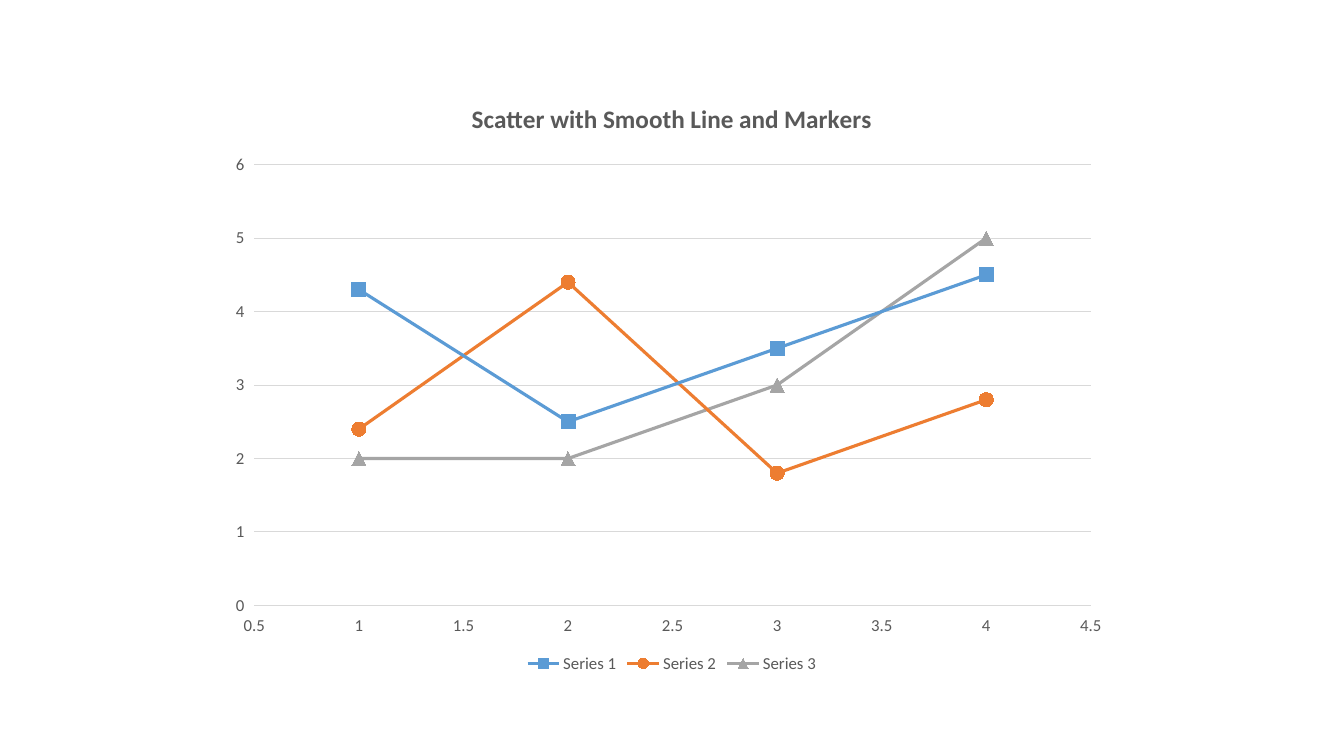
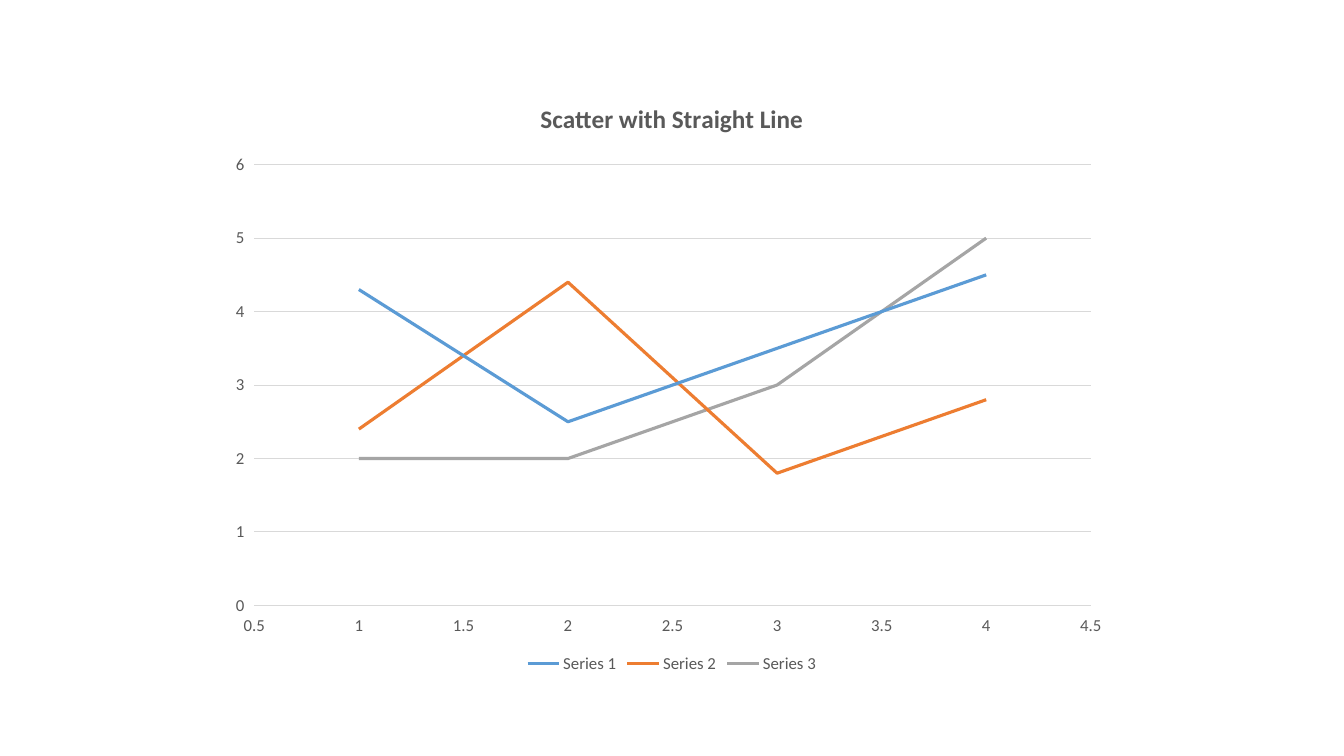
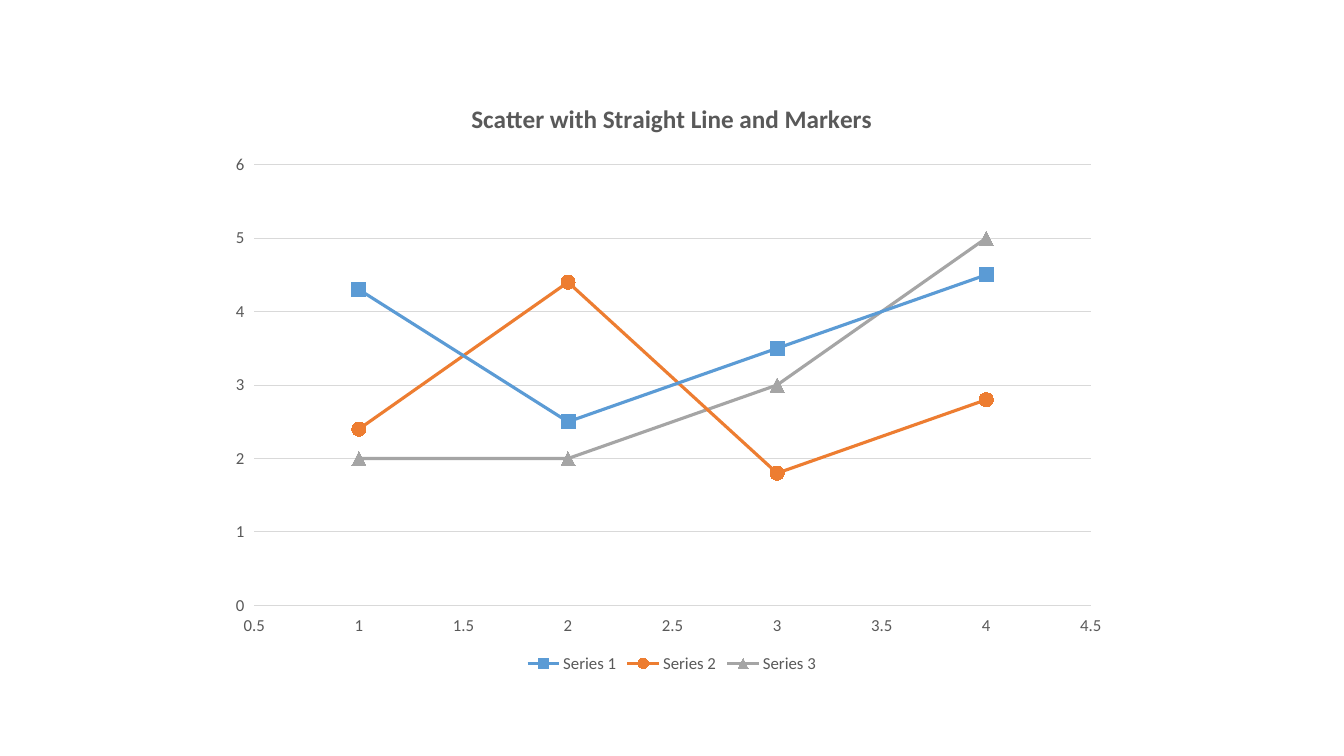
from dataclasses import dataclass

from pptx import Presentation
from pptx.chart.axis import ValueAxis
from pptx.chart.chart import Chart
from pptx.chart.data import XyChartData
from pptx.dml.color import RGBColor
from pptx.enum.chart import (
    XL_CHART_TYPE,
    XL_LEGEND_POSITION,
    XL_MARKER_STYLE,
    XL_TICK_LABEL_POSITION,
    XL_TICK_MARK,
)
from pptx.oxml.ns import qn
from pptx.oxml.xmlchemy import OxmlElement
from pptx.slide import Slide
from pptx.text.text import Font
from pptx.util import Cm, Pt

SMOOTH = XL_CHART_TYPE.XY_SCATTER_SMOOTH
STRAIGHT = XL_CHART_TYPE.XY_SCATTER_LINES_NO_MARKERS
STRAIGHT_MARKERS = XL_CHART_TYPE.XY_SCATTER_LINES
SQUARE = XL_MARKER_STYLE.SQUARE
CIRCLE = XL_MARKER_STYLE.CIRCLE
TRIANGLE = XL_MARKER_STYLE.TRIANGLE
NO_MARKER = XL_MARKER_STYLE.NONE
NO_TICK = XL_TICK_MARK.NONE
LABELS_LOW = XL_TICK_LABEL_POSITION.LOW
LEGEND_BOTTOM = XL_LEGEND_POSITION.BOTTOM

# Shared style
FONT = "Calibri"
COLORS = {
    "text": "595959",
    "grid": "D9D9D9",
    "blue": "5B9BD5",
    "orange": "ED7D31",
    "gray": "A5A5A5",
}


@dataclass(frozen=True)
class Box:
    left: Cm
    top: Cm
    width: Cm
    height: Cm


@dataclass(frozen=True)
class Curve:
    name: str
    values: tuple[float, ...]
    color: str
    marker: XL_MARKER_STYLE


@dataclass(frozen=True)
class ScatterPage:
    title: str
    kind: XL_CHART_TYPE
    smooth: bool = False
    markers: bool = True


CHART_BOX = Box(Cm(5.64), Cm(2.01), Cm(22.58), Cm(15.06))
PLOT_BOX = Box(Cm(6.41), Cm(4.15), Cm(21.08), Cm(11.11))

CURVES = (
    Curve("Series 1", (4.3, 2.5, 3.5, 4.5), "blue", SQUARE),
    Curve("Series 2", (2.4, 4.4, 1.8, 2.8), "orange", CIRCLE),
    Curve("Series 3", (2, 2, 3, 5), "gray", TRIANGLE),
)
PAGES = (
    ScatterPage("Scatter with Smooth Line and Markers", SMOOTH, smooth=True),
    ScatterPage("Scatter with Straight Line", STRAIGHT, markers=False),
    ScatterPage("Scatter with Straight Line and Markers", STRAIGHT_MARKERS),
)


def rgb(color: str) -> RGBColor:
    return RGBColor.from_string(COLORS[color])


def style_font(font: Font, size: float, bold: bool = False) -> None:
    font.name = FONT
    font.size = Pt(size)
    font.bold = bold
    font.color.rgb = rgb("text")


def style_axis(axis: ValueAxis, low: float, high: float, step: float) -> None:
    axis.minimum_scale, axis.maximum_scale, axis.major_unit = low, high, step
    axis.major_tick_mark = axis.minor_tick_mark = NO_TICK
    axis.tick_label_position = LABELS_LOW
    axis.tick_labels.number_format = "General"
    axis.tick_labels.number_format_is_linked = False
    style_font(axis.tick_labels.font, 12)
    axis.has_major_gridlines = False
    axis.format.line.fill.background()


def place_plot(chart: Chart) -> None:
    """Fix the inner plot area, as fractions of the chart frame."""
    plot_area = chart._chartSpace.chart.plotArea
    for old in plot_area.findall(qn("c:layout")):
        plot_area.remove(old)
    layout = OxmlElement("c:layout")
    manual = OxmlElement("c:manualLayout")
    settings = {
        "layoutTarget": "inner",
        "xMode": "edge",
        "yMode": "edge",
        "x": (PLOT_BOX.left - CHART_BOX.left) / CHART_BOX.width,
        "y": (PLOT_BOX.top - CHART_BOX.top) / CHART_BOX.height,
        "w": PLOT_BOX.width / CHART_BOX.width,
        "h": PLOT_BOX.height / CHART_BOX.height,
    }
    for tag, value in settings.items():
        setting = OxmlElement(f"c:{tag}")
        setting.set("val", str(value))
        manual.append(setting)
    layout.append(manual)
    plot_area.insert(0, layout)


def style_curves(chart: Chart, page: ScatterPage) -> None:
    for series, curve in zip(chart.plots[0].series, CURVES):
        series.smooth = page.smooth
        series.format.line.color.rgb = rgb(curve.color)
        series.format.line.width = Pt(2.25)
        marker = series.marker
        marker.style = curve.marker if page.markers else NO_MARKER
        if page.markers:
            marker.size = 10
            marker.format.fill.solid()
            marker.format.fill.fore_color.rgb = rgb(curve.color)
            marker.format.line.color.rgb = rgb(curve.color)


def draw_scatter(slide: Slide, page: ScatterPage) -> None:
    # Data
    points = XyChartData()
    for curve in CURVES:
        series = points.add_series(curve.name)
        for x, y in enumerate(curve.values, start=1):
            series.add_data_point(x, y)
    chart = slide.shapes.add_chart(
        page.kind, CHART_BOX.left, CHART_BOX.top,
        CHART_BOX.width, CHART_BOX.height, points,
    ).chart
    chart.plots[0].vary_by_categories = False
    style_font(chart.font, 12)

    # Title and legend
    chart.has_title = True
    heading = chart.chart_title.text_frame.paragraphs[0].add_run()
    heading.text = page.title
    style_font(heading.font, 18, bold=True)
    chart.has_legend = True
    chart.legend.position = LEGEND_BOTTOM
    chart.legend.include_in_layout = False
    style_font(chart.legend.font, 12)

    # Axes and grid
    style_axis(chart.category_axis, 0.5, 4.5, 0.5)
    style_axis(chart.value_axis, 0, 6, 1)
    rules = [chart.value_axis.major_gridlines]
    if page.markers:
        rules.append(chart.category_axis)
    for rule in rules:
        rule.format.line.color.rgb = rgb("grid")
        rule.format.line.width = Pt(0.75)

    style_curves(chart, page)
    place_plot(chart)


def main() -> None:
    deck = Presentation()
    deck.slide_width, deck.slide_height = Cm(33.87), Cm(19.05)
    blank = deck.slide_layouts[6]
    for page in PAGES:
        draw_scatter(deck.slides.add_slide(blank), page)
    deck.save("out.pptx")


if __name__ == "__main__":
    main()
